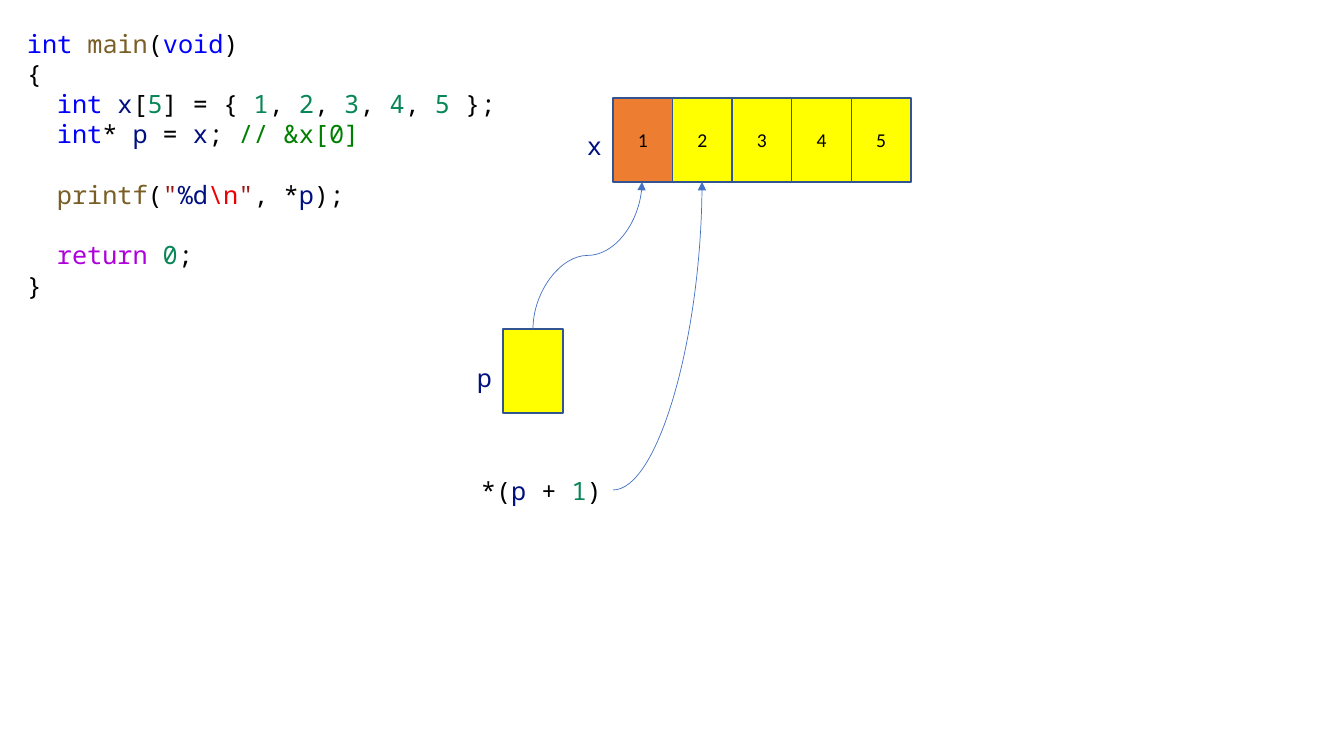
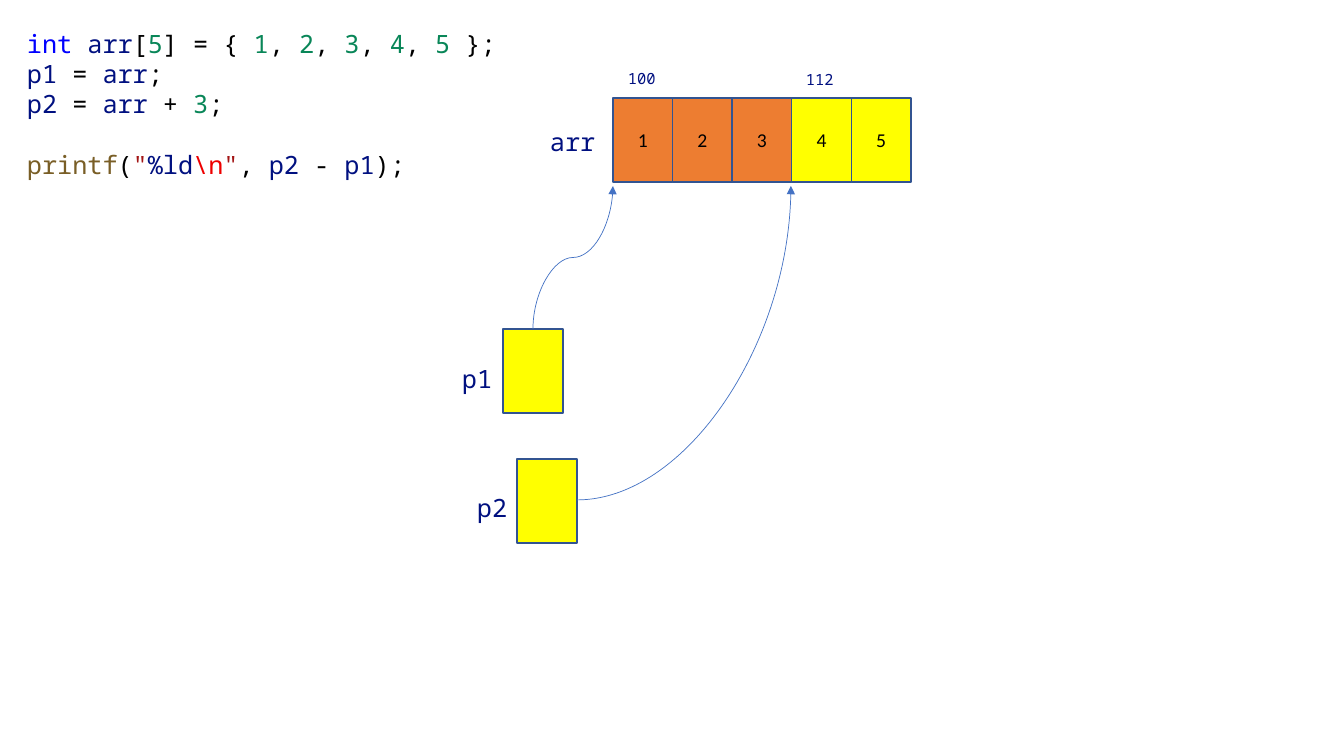
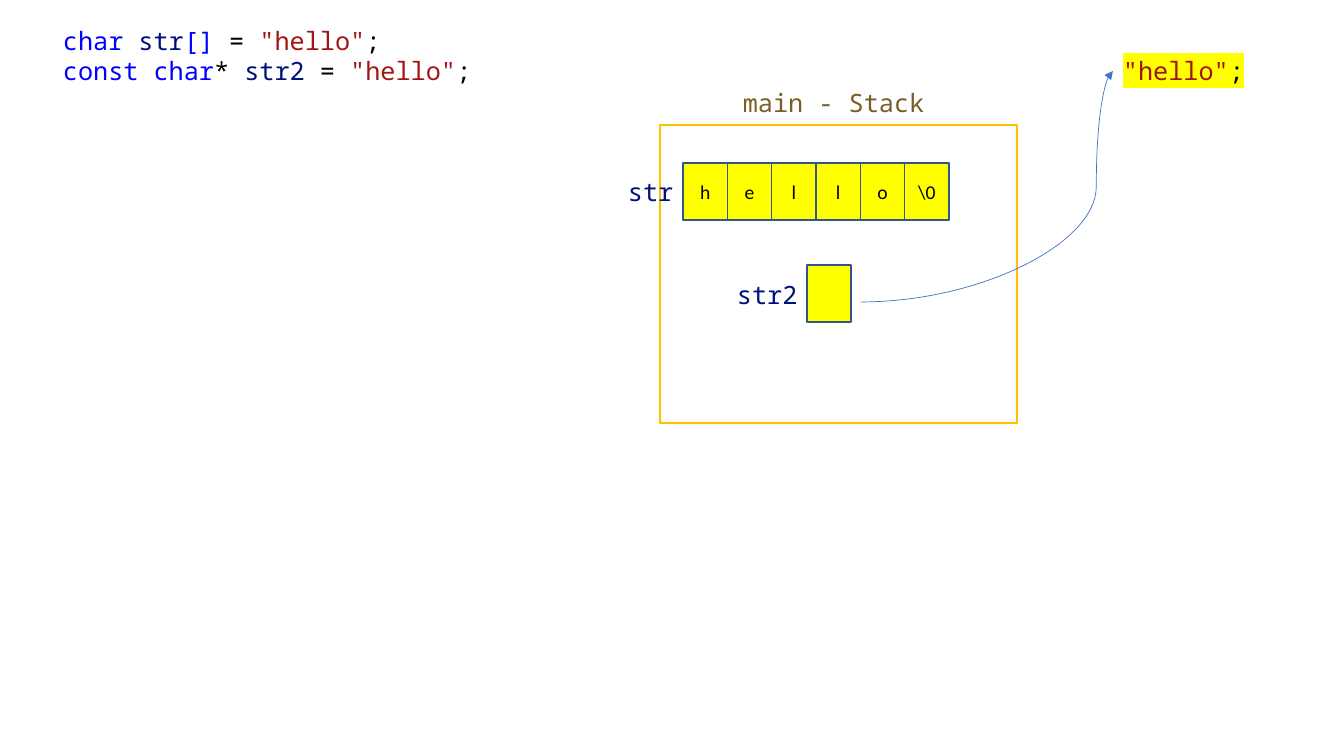
from pptx import Presentation
from pptx.dml.color import RGBColor
from pptx.enum.shapes import MSO_CONNECTOR, MSO_SHAPE
from pptx.enum.text import MSO_ANCHOR, MSO_AUTO_SIZE, PP_ALIGN
from pptx.oxml.ns import qn
from pptx.util import Pt
from lxml import etree

RECT = MSO_SHAPE.RECTANGLE
CURVE = MSO_CONNECTOR.CURVE
GROW = MSO_AUTO_SIZE.SHAPE_TO_FIT_TEXT
MIDDLE = MSO_ANCHOR.MIDDLE
CENTER = PP_ALIGN.CENTER


class Theme:
    ink = "000000"
    key = "0000FF"
    func = "795E26"
    name = "001080"
    num = "098658"
    quote = "A31515"
    escape = "EE0000"
    flow = "AF00DB"
    note = "008000"
    plain = "FFFF00"
    strong = "ED7D31"
    edge = "325491"
    arrow = "4472C4"
    frame = "FFC000"
    mono = "Noto Sans Mono"
    sans = "Calibri"
    code = 18
    cell = 14
    small = 11
    gap = 21.6
    tab = 30


T = Theme
SCALE = 914400 / 100.8


def px(*vals):
    return [round(val * SCALE) for val in vals]


def write(frame, lines, size, mark=None):
    frame.auto_size = GROW
    for row, (gap, tab, runs) in enumerate(lines):
        para = frame.add_paragraph() if row else frame.paragraphs[0]
        para.space_before = Pt(T.gap * gap)
        para._p.get_or_add_pPr().set("marL", str(px(T.tab * tab)[0]))
        for color, words in runs:
            run = para.add_run()
            run.text = words
            run.font.size = Pt(size)
            run.font.color.rgb = RGBColor.from_string(color)
            if mark:
                light = etree.SubElement(run._r.get_or_add_rPr(), qn("a:highlight"))
                etree.SubElement(light, qn("a:srgbClr")).set("val", mark)
            run.font.name = T.mono


items = [(T.ink, "["), (T.num, "5"), (T.ink, "] = { ")]
for digit in "1234":
    items += [(T.num, digit), (T.ink, ", ")]
items += [(T.num, "5"), (T.ink, " };")]

main_code = [
    (0, 0, [(T.key, "int "), (T.func, "main"), (T.ink, "("), (T.key, "void"), (T.ink, ")")]),
    (0, 0, [(T.ink, "{")]),
    (0, 1, [(T.key, "int "), (T.name, "x")] + items),
    (0, 1, [(T.key, "int"), (T.ink, "* "), (T.name, "p"), (T.ink, " = "), (T.name, "x"),
            (T.ink, "; "), (T.note, "// &x[0]")]),
    (1, 1, [(T.func, "printf"), (T.ink, "("), (T.quote, '"'), (T.name, "%d"),
            (T.escape, "\\n"), (T.quote, '"'), (T.ink, ", *"), (T.name, "p"), (T.ink, ");")]),
    (1, 1, [(T.flow, "return "), (T.num, "0"), (T.ink, ";")]),
    (0, 0, [(T.ink, "}")]),
]
diff_code = [
    (0, 0, [(T.key, "int "), (T.name, "arr")] + items),
    (0, 0, [(T.name, "p1"), (T.ink, " = "), (T.name, "arr"), (T.ink, ";")]),
    (0, 0, [(T.name, "p2"), (T.ink, " = "), (T.name, "arr"), (T.ink, " + "),
            (T.num, "3"), (T.ink, ";")]),
    (1, 0, [(T.func, "printf"), (T.ink, "("), (T.quote, '"'), (T.name, "%ld"),
            (T.escape, "\\n"), (T.quote, '"'), (T.ink, ", "), (T.name, "p2"),
            (T.ink, " - "), (T.name, "p1"), (T.ink, ");")]),
]
hello = [(T.quote, '"hello"'), (T.ink, ";")]
text_code = [
    (0, 0, [(T.key, "char "), (T.name, "str"), (T.key, "[]"), (T.ink, " = ")] + hello),
    (0, 0, [(T.key, "const char"), (T.ink, "* "), (T.name, "str2"), (T.ink, " = ")] + hello),
]
next_item = [(T.ink, "*("), (T.name, "p"), (T.ink, " + "), (T.num, "1"), (T.ink, ")")]

pages = [
    dict(
        code=((17, 23, 672, 285), main_code),
        frames=[],
        rows=[((613, 98, 298, 84), list("12345"), 1), ((503, 329, 60, 84), [""], 0)],
        tags=[(577, 125, T.code, None, [(T.name, "x")]),
              (467, 357, T.code, None, [(T.name, "p")]),
              (471, 470, T.code, None, next_item)],
        links=[("rise", (533, 329), (642, 182), None),
               ("turn", (613, 490), (702, 182), None)],
    ),
    dict(
        code=((17, 23, 672, 163), diff_code),
        frames=[],
        rows=[((613, 98, 298, 84), list("12345"), 3), ((503, 329, 60, 84), [""], 0),
              ((517, 459, 60, 84), [""], 0)],
        tags=[(540, 121, T.code, None, [(T.name, "arr")]),
              (452, 358, T.code, None, [(T.name, "p1")]),
              (467, 487, T.code, None, [(T.name, "p2")]),
              (618, 64, T.small, None, [(T.name, "100")]),
              (796, 65, T.small, None, [(T.name, "112")])],
        links=[("rise", (533, 329), (613, 186), None),
               ("turn", (577, 500), (791, 186), None)],
    ),
    dict(
        code=((53, 20, 596, 102), text_code),
        frames=[(660, 125, 357, 298)],
        rows=[((683, 163, 266, 57), list("hello") + ["\\0"], 0),
              ((807, 265, 44, 57), [""], 0)],
        tags=[(733, 82, T.code, None, [(T.func, "main - Stack")]),
              (618, 171, T.code, None, [(T.name, "str")]),
              (727, 274, T.code, None, [(T.name, "str2")]),
              (1113, 50, T.code, T.plain, hello)],
        links=[("cross", (861, 302), (1113, 71), 93400)],
    ),
]

deck = Presentation()
deck.slide_width, deck.slide_height = px(1344, 756)

for page in pages:
    slide = deck.slides.add_slide(deck.slide_layouts[6])
    shapes = slide.shapes

    box, lines = page["code"]
    frame = shapes.add_textbox(*px(*box)).text_frame
    frame.word_wrap = True
    write(frame, lines, T.code)

    for box in page["frames"]:
        stack = shapes.add_shape(RECT, *px(*box))
        stack.shadow.inherit = False
        stack.fill.background()
        stack.line.color.rgb = RGBColor.from_string(T.frame)
        stack.line.width = Pt(1)

    for (left, top, width, height), words, strong in page["rows"]:
        step = width / len(words)
        for col, word in enumerate(words):
            cell = shapes.add_shape(RECT, *px(left + col * step, top, step, height))
            cell.shadow.inherit = False
            cell.fill.solid()
            cell.fill.fore_color.rgb = RGBColor.from_string(T.strong if col < strong else T.plain)
            cell.line.color.rgb = RGBColor.from_string(T.edge)
            cell.line.width = Pt(1)
            if word:
                cell.text_frame.vertical_anchor = MIDDLE
                para = cell.text_frame.paragraphs[0]
                para.alignment = CENTER
                run = para.add_run()
                run.text = word
                run.font.size = Pt(T.cell)
                run.font.name = T.sans
                run.font.color.rgb = RGBColor.from_string(T.ink)

    for left, top, size, mark, runs in page["tags"]:
        count = sum(len(words) for color, words in runs)
        width, height = round(count * size * 0.84) + 23, round(size * 1.7) + 10
        frame = shapes.add_textbox(*px(left, top, width, height)).text_frame
        frame.word_wrap = False
        write(frame, [(0, 0, runs)], size, mark)

    for kind, (x1, y1), (x2, y2), bend in page["links"]:
        ends = x1, y1, x2, y2
        if kind == "rise":
            midx, midy = (x1 + x2) / 2, (y1 + y2) / 2
            halfw, halfh = (y1 - y2) / 2, (x2 - x1) / 2
            ends = midx + halfw, midy + halfh, midx - halfw, midy - halfh
        link = shapes.add_connector(CURVE, *px(*ends))
        link.line.color.rgb = RGBColor.from_string(T.arrow)
        link.line.width = Pt(0.5)
        props = link._element.spPr
        etree.SubElement(props.find(qn("a:ln")), qn("a:tailEnd")).set("type", "triangle")
        etree.SubElement(props, qn("a:effectLst"))
        geom = props.find(qn("a:prstGeom"))
        if kind == "rise":
            props.find(qn("a:xfrm")).set("rot", "5400000")
        if kind == "turn":
            geom.set("prst", "curvedConnector2")
        if bend:
            guide = etree.SubElement(geom.find(qn("a:avLst")), qn("a:gd"))
            guide.set("name", "adj1")
            guide.set("fmla", f"val {bend}")

deck.save("out.pptx")
